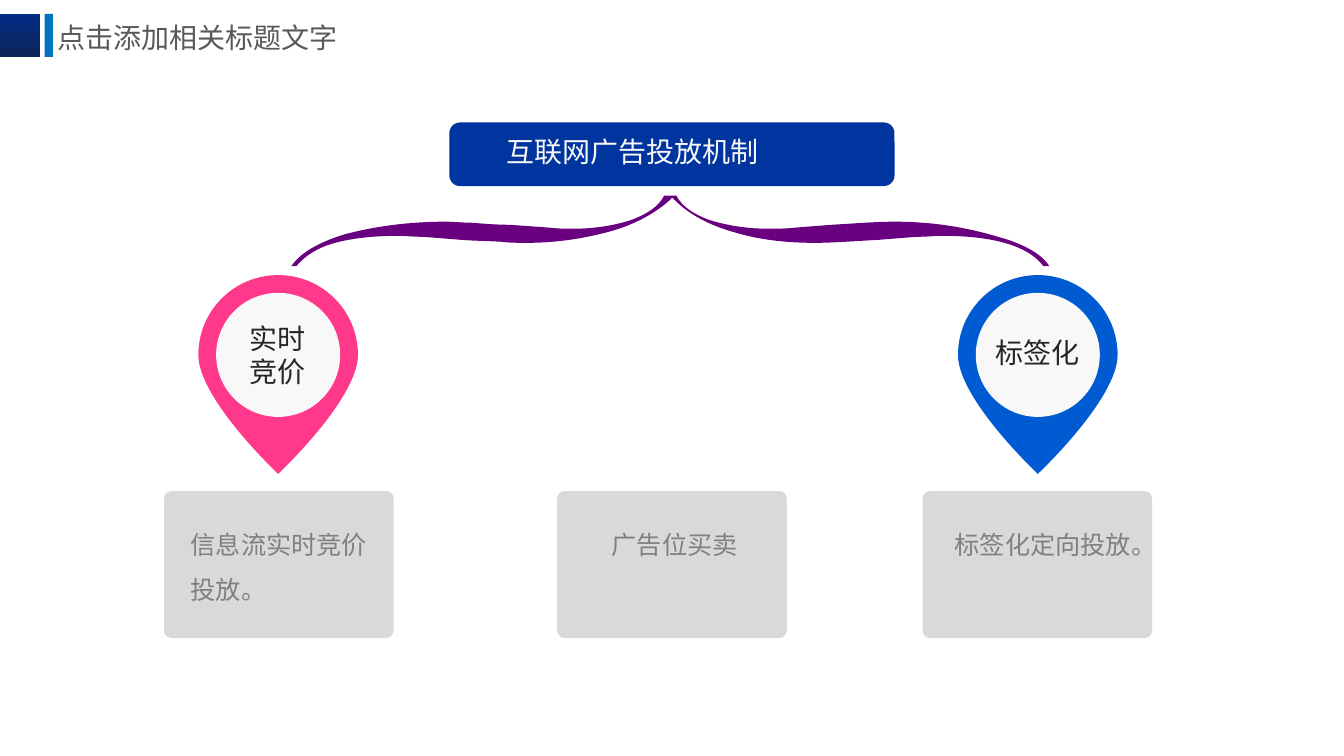
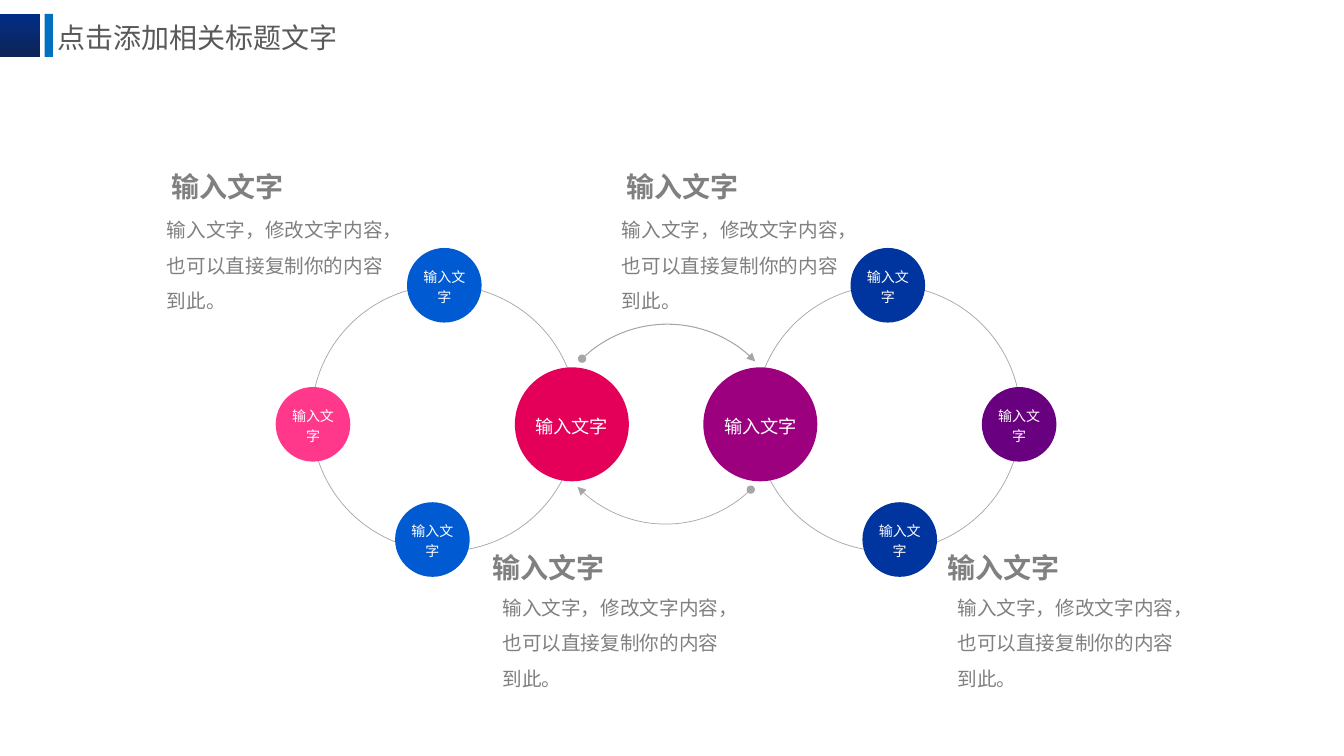
from dataclasses import dataclass

from lxml.etree import SubElement
from pptx import Presentation
from pptx.dml.color import RGBColor
from pptx.enum.shapes import MSO_SHAPE as SHAPE
from pptx.enum.text import MSO_ANCHOR as ANCHOR
from pptx.enum.text import MSO_AUTO_SIZE as AUTO
from pptx.enum.text import PP_ALIGN as ALIGN
from pptx.oxml.ns import qn
from pptx.util import Pt

COLORS = {
    "band_top": "012D86", "band_bottom": "0E2557", "bar": "0070C0",
    "title": "595959", "text": "808080", "dark": "262626",
    "light": "F8F8F8", "white": "FFFFFF", "card": "D9D9D9", "line": "A6A6A6",
    "pink": "FF388C", "red": "E40059", "magenta": "9C007F",
    "purple": "68007F", "blue": "005BD3", "navy": "00349E",
}
CJK = "Noto Sans CJK SC"
LABEL = "输入文字"
NOTE = "输入文字，修改文字内容，也可以直接复制你的内容到此。"
TITLE = "点击添加相关标题文字"

PIN_W = 114
PIN_OUTLINE = [
    [(0, 57)],
    [(0, 88.5), (57, 142), (57, 142)],
    [(57, 142), (114, 88.5), (114, 57)],
    [(114, 25.5), (88.5, 0), (57, 0)],
    [(25.5, 0), (0, 25.5), (0, 57)],
]
BRACKET = [
    [(474.5, 139.7)],
    [(470.2, 148.3), (460.8, 153.4), (451.4, 157)],
    [(438.5, 161.3), (424.1, 163.4), (409.7, 163.4)],
    [(404.6, 163.4), (398.9, 163.4), (393.1, 162.7)],
    [(383.8, 162), (373.7, 161.3), (363.6, 160.6)],
    [(354.2, 160.6), (345.6, 159.8), (336.2, 159.1)],
    [(330.5, 159.1), (324, 158.4), (318.2, 158.4)],
    [(293.8, 158.4), (268.6, 161.3), (244.8, 167.8)],
    [(231.8, 172.1), (216, 178.6), (208.1, 190.1)],
    [(211.7, 190.1)],
    [(218.2, 182.2), (227.5, 177.1), (236.9, 174.2)],
    [(251.3, 169.9), (268.6, 168.5), (283.7, 168.5)],
    [(289.4, 168.5), (295.9, 169.2), (301.7, 169.2)],
    [(311, 169.9), (320.4, 170.6), (329.8, 171.4)],
    [(339.1, 172.1), (348.5, 172.1), (358.6, 172.8)],
    [(364.3, 173.5), (370.8, 173.5), (376.6, 173.5)],
    [(396.7, 173.5), (416.2, 170.6), (434.9, 165.6)],
    [(450.7, 161.3), (465.8, 154.1), (478.1, 143.3)],
    [(480.2, 141.1)],
    [(482.4, 143.3)],
    [(493.2, 154.1), (508.3, 161.3), (523.4, 165.6)],
    [(542.2, 171.4), (561.6, 173.5), (581.8, 173.5)],
    [(596.9, 173.5), (612, 172.1), (627.1, 171.4)],
    [(636.5, 170.6), (645.8, 169.9), (655.2, 169.2)],
    [(661.7, 169.2), (668.2, 168.5), (673.9, 168.5)],
    [(696.2, 168.5), (731.5, 171.4), (745.2, 190.1)],
    [(749.5, 190.1)],
    [(743, 179.3), (724.3, 172.1), (712.8, 169.2)],
    [(689, 162), (664.6, 158.4), (639.4, 158.4)],
    [(624.2, 158.4), (609.1, 159.8), (594, 160.6)],
    [(585.4, 161.3), (576, 162), (567.4, 162.7)],
    [(560.9, 163.4), (554.4, 163.4), (548.6, 163.4)],
    [(534.2, 163.4), (519.8, 161.3), (506.2, 157)],
    [(496.8, 153.4), (487.4, 148.3), (483.1, 139.7)],
]


@dataclass
class Card:
    x: float
    text: str
    align: ALIGN


@dataclass
class Pin:
    x: float
    color: str
    text: str
    text_x: float
    text_y: float
    text_w: float
    text_h: float
    wrap: bool


@dataclass
class Orb:
    dx: float
    cy: float
    d: float
    size: float
    left: str
    right: str


@dataclass
class Note:
    x: float
    y: float
    body_dx: float
    body_dy: float


CARDS = [
    Card(117.2, "信息流实时竞价投放。", ALIGN.LEFT),
    Card(398, "广告位买卖", ALIGN.CENTER),
    Card(659, "标签化定向投放。", ALIGN.RIGHT),
]
PINS = [
    Pin(141.7, "pink", "实时竞价", 171.4, 226, 57.6, 55.4, True),
    Pin(684.3, "blue", "标签化", 703.9, 236.2, 75, 31.7, False),
]
ORB_AXIS = 475.8
ORBS = [
    Orb(67.3, 303.1, 81.4, 13, "red", "magenta"),
    Orb(252.2, 303.1, 53.3, 10, "pink", "purple"),
    Orb(158.4, 203.8, 53.3, 10, "blue", "navy"),
    Orb(166.9, 385.4, 53.3, 10, "blue", "navy"),
]
NOTE_STEP = 325
NOTES = [Note(x + i * NOTE_STEP, y, dx, dy)
         for x, y, dx, dy in [(351.8, 388.5, 0, 25.3), (122.4, 116, -10.3, 28)]
         for i in range(2)]


def rgb(name: str) -> RGBColor:
    return RGBColor.from_string(COLORS[name])


def write(sp, text: str, *, size: float, color: str, font: str = CJK,
          bold: bool = False, align=ALIGN.LEFT, anchor=ANCHOR.TOP,
          spacing: float = 1.0, before: float = 0, wrap: bool = True,
          grow: bool = False, insets=(7.2, 3.6, 7.2, 3.6)) -> None:
    tf = sp.text_frame
    tf.word_wrap = wrap
    tf.auto_size = AUTO.SHAPE_TO_FIT_TEXT if grow else AUTO.NONE
    tf.vertical_anchor = anchor
    tf.margin_left, tf.margin_top, tf.margin_right, tf.margin_bottom = map(Pt, insets)
    p = tf.paragraphs[0]
    p.alignment, p.line_spacing, p.space_before = align, spacing, Pt(before)
    r = p.add_run()
    r.text = text
    r.font.size, r.font.bold, r.font.name = Pt(size), bold, font
    r.font.color.rgb = rgb(color)
    SubElement(r._r.get_or_add_rPr(), qn("a:ea"), typeface=CJK)


def paint(sp, fill: str = "", line: str = "", weight: float = 0.5):
    sp.shadow.inherit = False
    if fill:
        sp.fill.solid()
        sp.fill.fore_color.rgb = rgb(fill)
    else:
        sp.fill.background()
    if line:
        sp.line.color.rgb = rgb(line)
        sp.line.width = Pt(weight)
    else:
        sp.line.fill.background()
    return sp


def shape(s, kind, x: float, y: float, w: float, h: float, **look):
    return paint(s.shapes.add_shape(kind, Pt(x), Pt(y), Pt(w), Pt(h)), **look)


def circle(s, cx: float, cy: float, d: float, **look):
    return shape(s, SHAPE.OVAL, cx - d / 2, cy - d / 2, d, d, **look)


def text_box(s, text: str, x: float, y: float, w: float, h: float, **fmt) -> None:
    write(s.shapes.add_textbox(Pt(x), Pt(y), Pt(w), Pt(h)), text, grow=True, **fmt)


def curve_shape(s, segments, fill: str, dx: float = 0, dy: float = 0) -> None:
    pts = [(Pt(x + dx), Pt(y + dy)) for seg in segments for x, y in seg]
    fb = s.shapes.build_freeform(*pts[0])
    fb.add_line_segments(pts[1:], close=True)
    sp = paint(fb.convert_to_shape(), fill=fill)
    steps = iter(list(sp._element.iter(qn("a:lnTo"))))
    for seg in segments[1:]:
        first = next(steps)
        if len(seg) == 3:
            first.tag = qn("a:cubicBezTo")
            for _ in range(2):
                extra = next(steps)
                first.append(extra[0])
                extra.getparent().remove(extra)


def arc_arrow(s, cx: float, cy: float, d: float, start: float, weight: float) -> None:
    sp = shape(s, SHAPE.ARC, cx - d / 2, cy - d / 2, d, d, line="line", weight=weight)
    sp.adjustments[0] = start * 0.6
    sp.adjustments[1] = (start + 90) * 0.6
    ln = sp.line._get_or_add_ln()
    SubElement(ln, qn("a:headEnd"), type="oval")
    SubElement(ln, qn("a:tailEnd"), type="triangle")


def new_slide(prs):
    s = prs.slides.add_slide(prs.slide_layouts[5])
    band = shape(s, SHAPE.RECTANGLE, 0, 10, 28.5, 30.5, fill="band_top")
    band.fill.gradient()
    band.fill.gradient_angle = 270
    for stop, name in zip(band.fill.gradient_stops, ("band_top", "band_bottom")):
        stop.color.rgb = rgb(name)
    shape(s, SHAPE.RECTANGLE, 31.9, 10, 6, 30.6, fill="bar")
    title = s.shapes.title
    title.left, title.top, title.width, title.height = map(Pt, (33.8, 4.3, 234.7, 44))
    write(title, TITLE, size=20, color="title", anchor=ANCHOR.MIDDLE, before=10.6)
    return s


def mechanism_slide(prs) -> None:
    s = new_slide(prs)
    curve_shape(s, BRACKET, "purple")
    for pin in PINS:
        y = 196.5
        curve_shape(s, PIN_OUTLINE, pin.color, pin.x, y)
        circle(s, pin.x + PIN_W / 2, y + PIN_W / 2, 88.6, fill="light")
        text_box(s, pin.text, pin.text_x, pin.text_y, pin.text_w, pin.text_h,
                 size=20, color="dark", wrap=pin.wrap)
    banner = shape(s, SHAPE.ROUNDED_RECTANGLE, 321, 87.5, 318, 45.4, fill="navy")
    write(banner, "互联网广告投放机制", size=20, color="light",
          anchor=ANCHOR.MIDDLE, insets=(38.5, 0, 0, 4))
    for card in CARDS:
        sp = shape(s, SHAPE.ROUNDED_RECTANGLE, card.x, 350.8, 164, 105, fill="card")
        sp.adjustments[0] = 0.05
        write(sp, card.text, size=18, color="text", align=card.align,
              spacing=1.5, insets=(17.5, 15, 13.5, 0))


def cycle_slide(prs) -> None:
    s = new_slide(prs)
    for side in (-1, 1):
        circle(s, ORB_AXIS + side * 158.4, 298.8, 190, line="line")
        for orb in ORBS:
            sp = circle(s, ORB_AXIS + side * orb.dx, orb.cy, orb.d,
                        fill=orb.left if side < 0 else orb.right)
            write(sp, LABEL, size=orb.size, color="white", font="Arial",
                  align=ALIGN.CENTER, anchor=ANCHOR.MIDDLE, spacing=1.2,
                  insets=(0, 0, 0, 0))
    arc_arrow(s, 476.7, 319.1, 175, 225.9, 0.75)
    arc_arrow(s, 475.4, 286.9, 175, 45.9, 0.5)
    for note in NOTES:
        text_box(s, NOTE, note.x + note.body_dx, note.y + note.body_dy, 176.4, 83.5,
                 size=14, color="text", spacing=1.5)
        text_box(s, LABEL, note.x, note.y, 80.6, 26.6, size=20, color="text",
                 font="Arial", bold=True, spacing=1.2, wrap=False,
                 insets=(0, 0, 0, 0))


def main() -> None:
    prs = Presentation()
    prs.slide_width, prs.slide_height = Pt(960), Pt(540)
    mechanism_slide(prs)
    cycle_slide(prs)
    prs.save("out.pptx")


if __name__ == "__main__":
    main()
